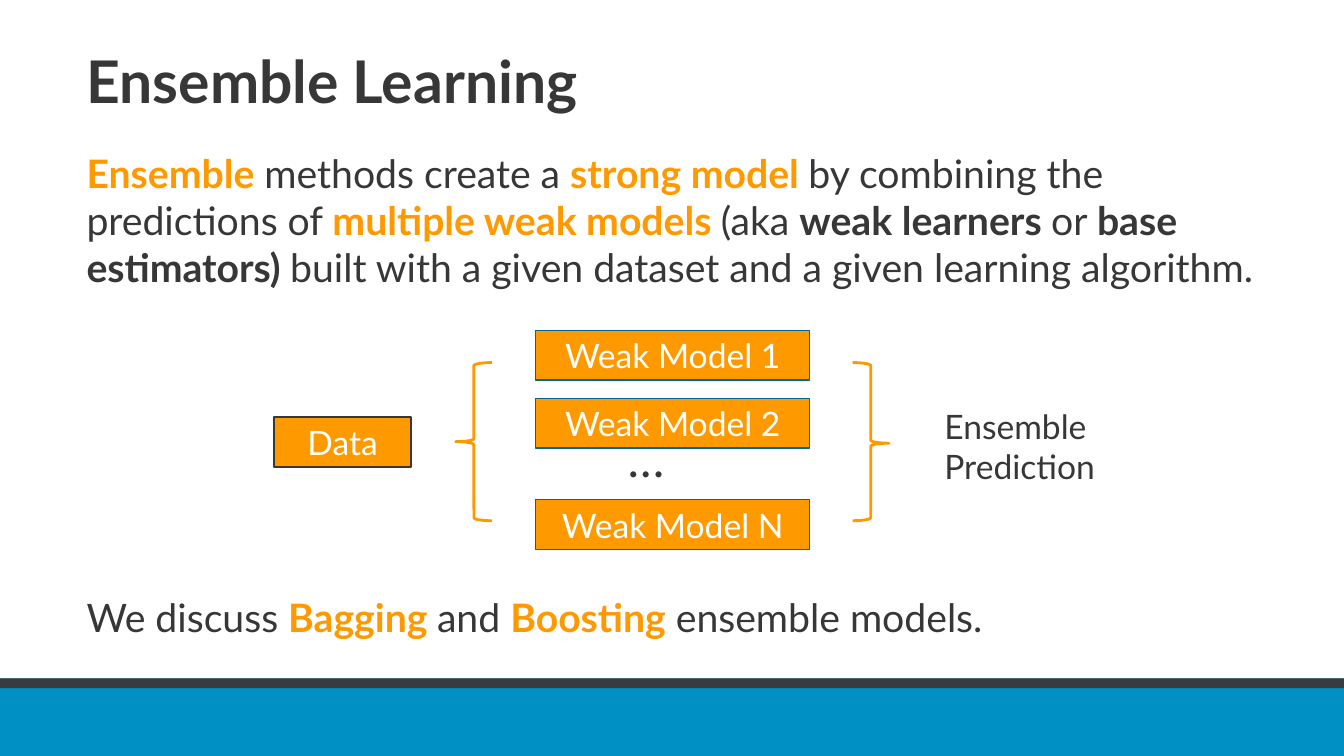
"""Build the Ensemble Learning slide."""
from dataclasses import dataclass

from pptx import Presentation
from pptx.dml.color import RGBColor
from pptx.enum.shapes import MSO_SHAPE as Preset
from pptx.enum.text import MSO_ANCHOR as Anchor, PP_ALIGN as Align
from pptx.util import Pt

DARK, ORANGE, WHITE = "373737", "FF9900", "FFFFFF"
BLUE, EDGE, CHARCOAL = "0090C3", "006891", "383D3B"
WIDTH, HEIGHT = 960, 540
FOOTER_TOP = 484.5
BOX_HEIGHT = 35.5
MODEL_LEFT, MODEL_WIDTH = 382.5, 196


@dataclass
class Box:
    left: float
    top: float
    width: float
    height: float


@dataclass
class Span:
    text: str
    color: str = DARK
    bold: bool = False


@dataclass
class TextBlock:
    box: Box
    spans: list[Span]
    size: float
    font: str = "Lato"
    anchor: Anchor = Anchor.TOP
    line_spacing: float = 1.0


@dataclass
class Node:
    label: str
    box: Box
    edge: str = EDGE


@dataclass
class Brace:
    preset: Preset
    left: float
    middle: float


def key(text: str) -> Span:
    return Span(text, ORANGE, True)


def strong(text: str) -> Span:
    return Span(text, DARK, True)


TEXT_BLOCKS = [
    TextBlock(Box(54.7, 23, 875, 78), [strong("Ensemble Learning")], 42,
              anchor=Anchor.MIDDLE, line_spacing=0.8),
    TextBlock(Box(54.7, 103, 857, 110), [
        key("Ensemble"), Span(" methods create a "), key("strong model "),
        Span("by combining the predictions of "),
        key("multiple weak models "), Span("(aka "),
        strong("weak learners "), Span("or"), strong(" base estimators) "),
        Span("built with a given dataset and a given learning algorithm."),
    ], 28),
    TextBlock(Box(54.7, 420, 857, 42), [
        Span("We discuss "), key("Bagging "), Span("and "),
        key("Boosting"), Span(" ensemble models."),
    ], 28),
    TextBlock(Box(667.5, 286.5, 136, 65.5), [Span("Ensemble Prediction")], 24),
    TextBlock(Box(442, 301.7, 41, 51), [Span("…")], 36, font="Calibri"),
]
MODEL_TOPS = {"1": 236, "2": 284.5, "N": 357}
NODES = [Node("Data", Box(195.7, 298, 98, BOX_HEIGHT), DARK)] + [
    Node(f"Weak Model {number}", Box(MODEL_LEFT, top, MODEL_WIDTH, BOX_HEIGHT))
    for number, top in MODEL_TOPS.items()
]
BRACES = [Brace(Preset.LEFT_BRACE, 325.5, 0.5),
          Brace(Preset.RIGHT_BRACE, 609, 0.51)]


def rgb(color: str) -> RGBColor:
    return RGBColor.from_string(color)


def add_preset(slide, preset: Preset, box: Box, fill: str | None = None,
               line: str | None = None, weight: float = 1):
    shape = slide.shapes.add_shape(
        preset, Pt(box.left), Pt(box.top), Pt(box.width), Pt(box.height))
    shape.shadow.inherit = False
    if fill:
        shape.fill.solid()
        shape.fill.fore_color.rgb = rgb(fill)
    else:
        shape.fill.background()
    if line:
        shape.line.color.rgb = rgb(line)
        shape.line.width = Pt(weight)
    else:
        shape.line.fill.background()
    return shape


def add_node(slide, node: Node) -> None:
    shape = add_preset(slide, Preset.RECTANGLE, node.box, ORANGE, node.edge)
    shape.text_frame.vertical_anchor = Anchor.MIDDLE
    paragraph = shape.text_frame.paragraphs[0]
    paragraph.alignment = Align.CENTER
    paragraph.font.name = "Lato"
    paragraph.font.size = Pt(24)
    paragraph.font.color.rgb = rgb(WHITE)
    paragraph.add_run().text = node.label


def add_brace(slide, brace: Brace) -> None:
    box = Box(brace.left, 259, 26, 113)
    shape = add_preset(slide, brace.preset, box, line=ORANGE, weight=2)
    shape.adjustments[1] = brace.middle


def add_text(slide, block: TextBlock) -> None:
    box = block.box
    shape = slide.shapes.add_textbox(
        Pt(box.left), Pt(box.top), Pt(box.width), Pt(box.height))
    frame = shape.text_frame
    frame.word_wrap = True
    frame.vertical_anchor = block.anchor
    paragraph = frame.paragraphs[0]
    paragraph.line_spacing = block.line_spacing
    paragraph.font.name = block.font
    paragraph.font.size = Pt(block.size)
    for span in block.spans:
        run = paragraph.add_run()
        run.text = span.text
        run.font.bold = span.bold
        run.font.color.rgb = rgb(span.color)


def main() -> None:
    presentation = Presentation()
    presentation.slide_width, presentation.slide_height = Pt(WIDTH), Pt(HEIGHT)
    slide = presentation.slides.add_slide(presentation.slide_layouts[6])
    for height, color in ((HEIGHT - FOOTER_TOP, BLUE), (7, CHARCOAL)):
        add_preset(slide, Preset.RECTANGLE,
                   Box(0, FOOTER_TOP, WIDTH, height), color)
    for node in NODES:
        add_node(slide, node)
    for block in TEXT_BLOCKS:
        add_text(slide, block)
    for brace in BRACES:
        add_brace(slide, brace)
    presentation.save("out.pptx")


if __name__ == "__main__":
    main()
